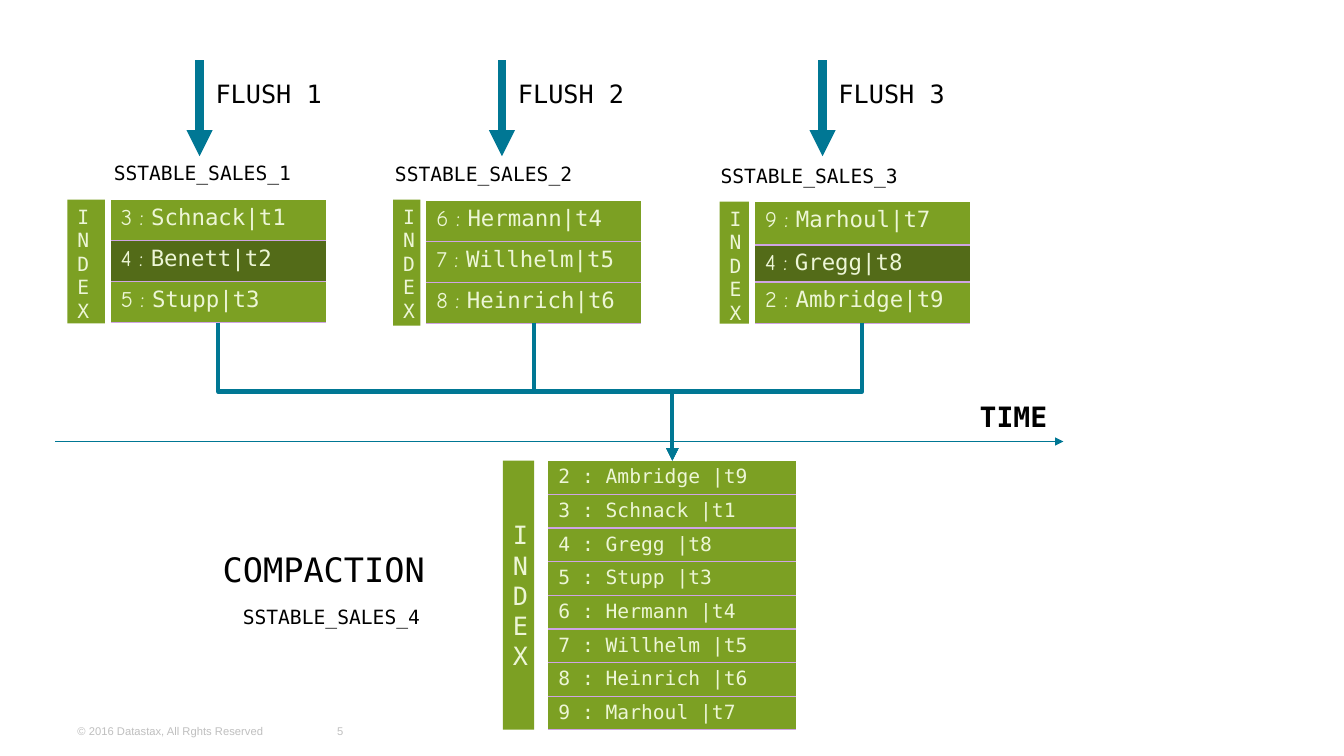
import pptx
import pptx.util
import pptx.dml.color
import pptx.enum.shapes
import pptx.enum.text
import pptx.oxml.ns
from lxml import etree

WIDE, HIGH = 13.33, 7.5
COLS, ROWS = 160, 90
MONO, COMIC = "DejaVu Sans Mono", "Comic Neue"
GREEN, DARK, PALE = "7CA023", "536B18", "EDF6D6"
TEAL, LILAC, GREY, BLACK = "007794", "CFA4E4", "BFBFBF", "000000"
PLAIN = "{2D5ABB26-0587-4C30-8999-92F81FD0307C}"
KIND = pptx.enum.shapes.MSO_CONNECTOR
ALIGN = pptx.enum.text.PP_ALIGN
ANCHOR = pptx.enum.text.MSO_ANCHOR
FLOW_Y, FLOW_END = 38.4, (80.04, 54.84)
LANES = [
    dict(arrow=23.76, name=(12.36, 18.6), index=(8.04, 23.76, 4.44, 14.76),
         table=(13.2, 23.76), rows=(4.88, 4.88, 4.88),
         sales=("3 : Schnack|t1", "4 : Benett|t2", "5 : Stupp|t3"), dark=1),
    dict(arrow=59.76, name=(45.84, 18.72), index=(46.8, 23.76, 3.24, 15),
         table=(50.76, 23.88), rows=(4.88, 4.88, 4.88),
         sales=("6 : Hermann|t4", "7 : Willhelm|t5", "8 : Heinrich|t6"), dark=None),
    dict(arrow=97.92, name=(84.6, 18.96), index=(85.68, 24, 3.48, 14.52),
         table=(89.88, 24), rows=(5.16, 4.32, 4.92),
         sales=("9 : Marhoul|t7", "4 : Gregg|t8", "2 : Ambridge|t9"), dark=1),
]
LANE_W = 25.56
MERGED = ("2 : Ambridge |t9", "3 : Schnack |t1", "4 : Gregg |t8", "5 : Stupp |t3",
          "6 : Hermann |t4", "7 : Willhelm |t5", "8 : Heinrich |t6", "9 : Marhoul |t7")


def col(n):
    return pptx.util.Inches(WIDE * n / COLS)


def row(n):
    return pptx.util.Inches(HIGH * n / ROWS)


def place(x, y, w, h):
    return col(x), row(y), col(w), row(h)


def tint(code):
    return pptx.dml.color.RGBColor.from_string(code)


def paint(item, code):
    item.fill.solid()
    item.fill.fore_color.rgb = tint(code)


def sub(node, tag, **attrs):
    return etree.SubElement(node, pptx.oxml.ns.qn(tag), attrs)


def apply(item, values):
    for key, value in values.items():
        setattr(item, key, value)


def write(para, text, size, code, font=MONO, bold=False):
    run = para.add_run()
    run.text = text
    apply(run.font, dict(size=pptx.util.Pt(size), name=font, bold=bold))
    run.font.color.rgb = tint(code)


def label(slide, text, box, size, code=BLACK, font=MONO, bold=False,
          align=ALIGN.LEFT, anchor=ANCHOR.TOP):
    frame = slide.shapes.add_textbox(*place(*box)).text_frame
    apply(frame, dict(word_wrap=False, vertical_anchor=anchor))
    para = frame.paragraphs[0]
    para.alignment = align
    write(para, text, size, code, font, bold)


def index(slide, box, size, align=ALIGN.LEFT, anchor=ANCHOR.TOP):
    kind = pptx.enum.shapes.MSO_SHAPE.RECTANGLE
    bar = slide.shapes.add_shape(kind, *place(*box))
    bar.shadow.inherit = False
    paint(bar, GREEN)
    bar.line.fill.background()
    apply(bar.text_frame, dict(word_wrap=True, vertical_anchor=anchor))
    para = bar.text_frame.paragraphs[0]
    para.alignment = align
    write(para, "INDEX", size, PALE)


def rule(cell):
    edge = etree.Element(pptx.oxml.ns.qn("a:lnB"), w=str(pptx.util.Pt(1)))
    sub(sub(edge, "a:solidFill"), "a:srgbClr", val=LILAC)
    cell._tc.get_or_add_tcPr().insert(0, edge)


def grid(slide, spot, width, rows, sales, size, dark=None, lead=MONO):
    box = place(*spot, width, sum(rows))
    table = slide.shapes.add_table(len(rows), 1, *box).table
    apply(table, dict(first_row=False, horz_banding=False))
    table._tbl.tblPr.find(pptx.oxml.ns.qn("a:tableStyleId")).text = PLAIN
    for pos, (high, sale) in enumerate(zip(rows, sales)):
        table.rows[pos].height = row(high)
        cell = table.cell(pos, 0)
        paint(cell, DARK if pos == dark else GREEN)
        rule(cell)
        para = cell.text_frame.paragraphs[0]
        if lead == MONO:
            write(para, sale, size, PALE)
        else:
            write(para, sale[:4], size, PALE, lead)
            write(para, sale[4:], size, PALE)


def arrow(slide, kind, start, end, width):
    link = slide.shapes.add_connector(kind, *start, *end)
    link.line.color.rgb = tint(TEAL)
    link.line.width = pptx.util.Pt(width)
    sub(link.line._get_or_add_ln(), "a:tailEnd", type="triangle")
    sub(link._element.spPr, "a:effectLst")
    return link


def line(slide, start, end, width):
    ends = [(col(x), row(y)) for x, y in (start, end)]
    arrow(slide, KIND.STRAIGHT, *ends, width)


def elbow(slide, start, end):
    (left, top), (right, base) = [(col(x), row(y)) for x, y in (start, end)]
    mid_x, mid_y = (left + right) // 2, (top + base) // 2
    half_w, half_h = (base - top) // 2, abs(right - left) // 2
    link = arrow(slide, KIND.ELBOW, (mid_x - half_w, mid_y - half_h),
                 (mid_x + half_w, mid_y + half_h), 3)
    frame = link._element.spPr.find(pptx.oxml.ns.qn("a:xfrm"))
    turn = {"rot": "16200000", "flipH": "1"} if right > left else {"rot": "5400000"}
    for key, value in turn.items():
        frame.set(key, value)


def title(slide, num, spot):
    label(slide, f"SSTABLE_SALES_{num}", (*spot, 23.52, 4.08), 14)


def lane(slide, num, data):
    line(slide, (data["arrow"], 7.2), (data["arrow"], 18.6), 6.25)
    label(slide, f"FLUSH {num}", (data["arrow"] + 0.72, 8.76, 15.12, 4.8), 18)
    title(slide, num, data["name"])
    grid(slide, data["table"], LANE_W, data["rows"], data["sales"], 16,
         data["dark"], COMIC)
    index(slide, data["index"], 14)
    elbow(slide, (data["table"][0] + LANE_W / 2, FLOW_Y), FLOW_END)


def main():
    deck = pptx.Presentation()
    apply(deck, dict(slide_width=col(COLS), slide_height=row(ROWS)))
    slide = deck.slides.add_slide(deck.slide_layouts[6])
    foot = dict(size=8, code=GREY, font="Arial", anchor=ANCHOR.MIDDLE)
    label(slide, "© 2016 Datastax, All Rghts Reserved", (8.04, 84.6, 27.96, 4.8), **foot)
    label(slide, "5", (36.96, 84.6, 7.08, 4.8), align=ALIGN.CENTER, **foot)
    line(slide, (6.6, 52.56), (126.6, 52.56), 0.75)
    label(slide, "TIME", (115.44, 46.92, 10.56, 5.28), 20, bold=True)
    grid(slide, (65.28, 54.84), 29.52, [4] * len(MERGED), MERGED, 14)
    index(slide, (59.88, 54.84, 3.72, 32.04), 18, ALIGN.CENTER, ANCHOR.MIDDLE)
    for num, data in enumerate(LANES, 1):
        lane(slide, num, data)
    label(slide, "COMPACTION", (25.32, 64.8, 26.64, 6), 24)
    title(slide, 4, (27.72, 71.4))
    deck.save("out.pptx")


if __name__ == "__main__":
    main()
